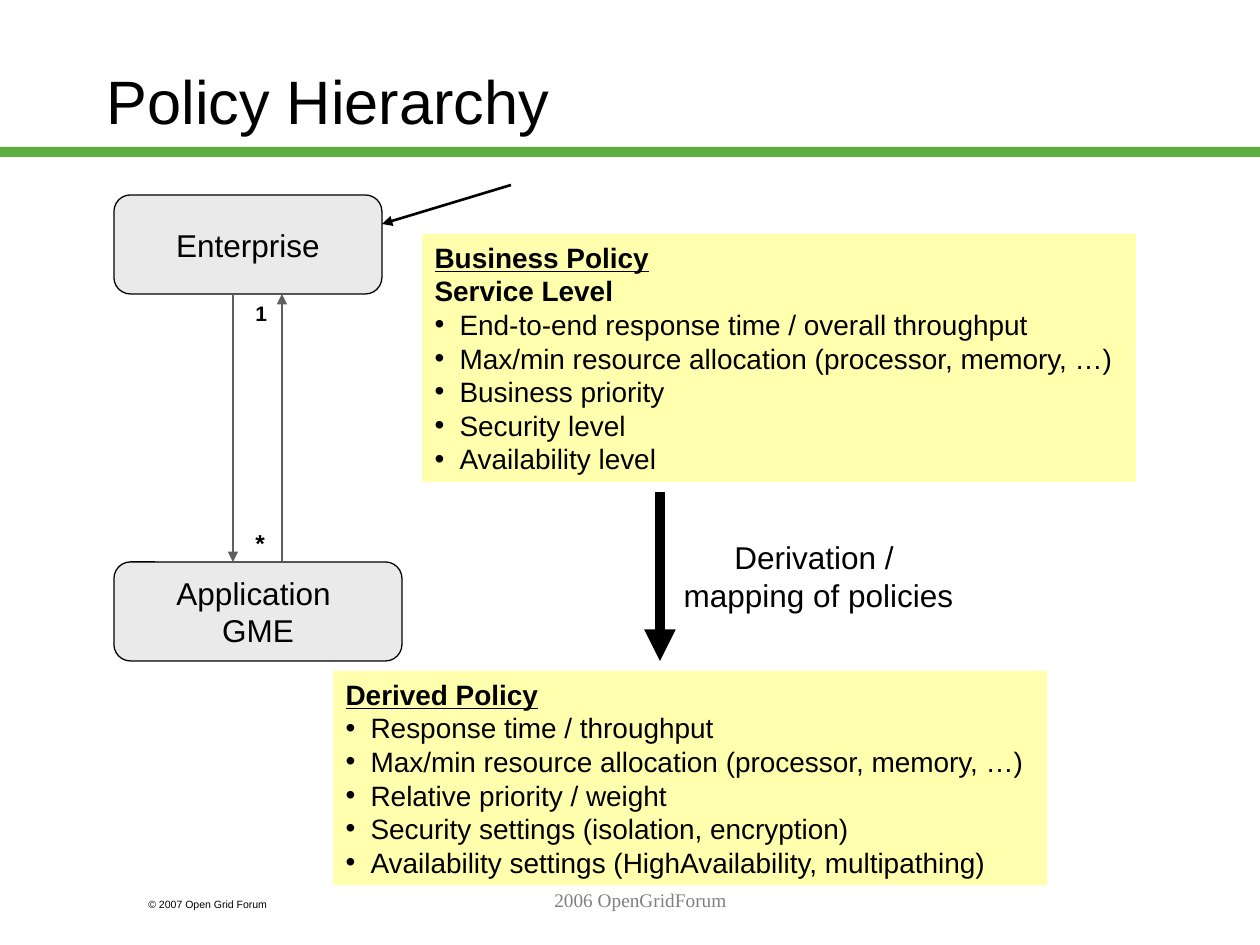
import pptx
import pptx.util
from lxml import etree
from pptx.dml.color import RGBColor
from pptx.enum.shapes import MSO_CONNECTOR, MSO_SHAPE
from pptx.enum.text import MSO_ANCHOR, MSO_AUTO_SIZE, PP_ALIGN
from pptx.oxml.ns import qn

PX = 914400 // 126
SLIDE_SIZE = (1260, 945)
COLORS = {"text": "000000", "rule": "5DAD41", "node": "EAEAEA", "link": "5F5F5F",
          "policy": "FFFF99", "footer": "808080"}
INDENT = 25

TITLE = "Policy Hierarchy"
TITLE_PLACE = (94, 22, 1071, 157)
RULE_PLACE = (0, 147, 1260, 10)

NODES = [("Application \nGME", (114, 562, 288, 99)),
         ("Enterprise", (114, 195, 268, 99))]

# place, underlined heading, further bold headings, bullets
POLICIES = [
    ((422, 234, 714, 248), "Business Policy", ["Service Level"],
     ["End-to-end response time / overall throughput",
      "Max/min resource allocation (processor, memory, …)",
      "Business priority",
      "Security level",
      "Availability level"]),
    ((333, 671, 714, 214), "Derived Policy", [],
     ["Response time / throughput",
      "Max/min resource allocation (processor, memory, …)",
      "Relative priority / weight",
      "Security settings (isolation, encryption)",
      "Availability settings (HighAvailability, multipathing)"]),
]

# start, end, colour, points
ARROWS = [((233, 294), (233, 562), "link", 1.5),
          ((282, 562), (282, 294), "link", 1.5),
          ((511, 185), (382, 224), "text", 1.5),
          ((660, 492), (660, 661), "text", 6)]

# text, place, font, size, colour, bold, alignment, wrap
LABELS = [
    ("1", (243, 294, 36, 38), "Arial", 12, "text", True, PP_ALIGN.LEFT, False),
    ("*", (243, 522, 34, 43), "Arial", 14, "text", True, PP_ALIGN.LEFT, False),
    ("Derivation / \nmapping of policies", (640, 532, 357, 88),
     "Arial", 18, "text", False, PP_ALIGN.CENTER, True),
    ("© 2007 Open Grid Forum", (136, 892, 189, 25),
     "Arial", 6, "text", False, PP_ALIGN.LEFT, True),
    ("2006 OpenGridForum", (273, 882, 735, 63),
     "Times New Roman", 11, "footer", False, PP_ALIGN.CENTER, True),
]


def emu(*lengths):
    return [length * PX for length in lengths]


def rgb(name):
    return RGBColor.from_string(COLORS[name])


def place_shape(shape, place):
    shape.left, shape.top, shape.width, shape.height = emu(*place)


def write(para, text, size, font="Arial", color="text", bold=False, align=PP_ALIGN.LEFT):
    para.text = text
    para.alignment = align
    para.space_before = pptx.util.Pt(0)
    para.font.name = font
    para.font.size = pptx.util.Pt(size)
    para.font.bold = bold
    para.font.color.rgb = rgb(color)


def set_bullet(para, bulleted):
    """Give the paragraph a hanging indent, with a round bullet or none."""
    properties = para._p.get_or_add_pPr()
    hang = INDENT * PX
    properties.set("marL", str(hang))
    properties.set("indent", str(-hang))
    if bulleted:
        etree.SubElement(properties, qn("a:buFont")).set("typeface", "Arial")
        etree.SubElement(properties, qn("a:buChar")).set("char", "•")
    else:
        etree.SubElement(properties, qn("a:buNone"))


def add_block(slide, kind, place, color):
    block = slide.shapes.add_shape(kind, *emu(*place))
    block.shadow.inherit = False
    block.fill.solid()
    block.fill.fore_color.rgb = rgb(color)
    return block


def add_node(slide, text, place):
    node = add_block(slide, MSO_SHAPE.ROUNDED_RECTANGLE, place, "node")
    node.line.color.rgb = rgb("text")
    node.line.width = pptx.util.Pt(0.75)
    node.text_frame.word_wrap = False
    node.text_frame.vertical_anchor = MSO_ANCHOR.MIDDLE
    write(node.text_frame.paragraphs[0], text, 18, align=PP_ALIGN.CENTER)


def fill_policy(box, place, heading, subheadings, bullets):
    place_shape(box, place)
    box.fill.solid()
    box.fill.fore_color.rgb = rgb("policy")
    color = box.fill._xPr.find(".//" + qn("a:srgbClr"))
    etree.SubElement(color, qn("a:alpha")).set("val", "80000")
    frame = box.text_frame
    frame.auto_size = MSO_AUTO_SIZE.NONE
    frame.vertical_anchor = MSO_ANCHOR.TOP
    headings = [heading, *subheadings]
    for index, text in enumerate(headings + bullets):
        para = frame.add_paragraph() if index else frame.paragraphs[0]
        is_heading = index < len(headings)
        set_bullet(para, not is_heading)
        write(para, text, 16, bold=is_heading)
        para.font.underline = index == 0


def add_arrow(slide, start, end, color, width):
    arrow = slide.shapes.add_connector(MSO_CONNECTOR.STRAIGHT, *emu(*start, *end))
    arrow.line.color.rgb = rgb(color)
    arrow.line.width = pptx.util.Pt(width)
    etree.SubElement(arrow.line._get_or_add_ln(), qn("a:tailEnd")).set("type", "triangle")
    etree.SubElement(arrow._element.spPr, qn("a:effectLst"))


def add_label(slide, text, place, font, size, color, bold, align, wrap):
    label = slide.shapes.add_textbox(*emu(*place))
    label.text_frame.word_wrap = wrap
    write(label.text_frame.paragraphs[0], text, size, font, color, bold, align)


def main():
    deck = pptx.Presentation()
    deck.slide_width, deck.slide_height = emu(*SLIDE_SIZE)
    slide = deck.slides.add_slide(deck.slide_layouts.get_by_name("Two Content"))

    title, *policy_boxes = slide.placeholders
    place_shape(title, TITLE_PLACE)
    title.text_frame.auto_size = MSO_AUTO_SIZE.NONE
    title.text_frame.vertical_anchor = MSO_ANCHOR.MIDDLE
    write(title.text_frame.paragraphs[0], TITLE, 35)

    rule = add_block(slide, MSO_SHAPE.RECTANGLE, RULE_PLACE, "rule")
    rule.line.fill.background()
    for box, policy in zip(policy_boxes, POLICIES):
        fill_policy(box, *policy)
    for node in NODES:
        add_node(slide, *node)
    for arrow in ARROWS:
        add_arrow(slide, *arrow)
    for label in LABELS:
        add_label(slide, *label)
    deck.save("out.pptx")


if __name__ == "__main__":
    main()
